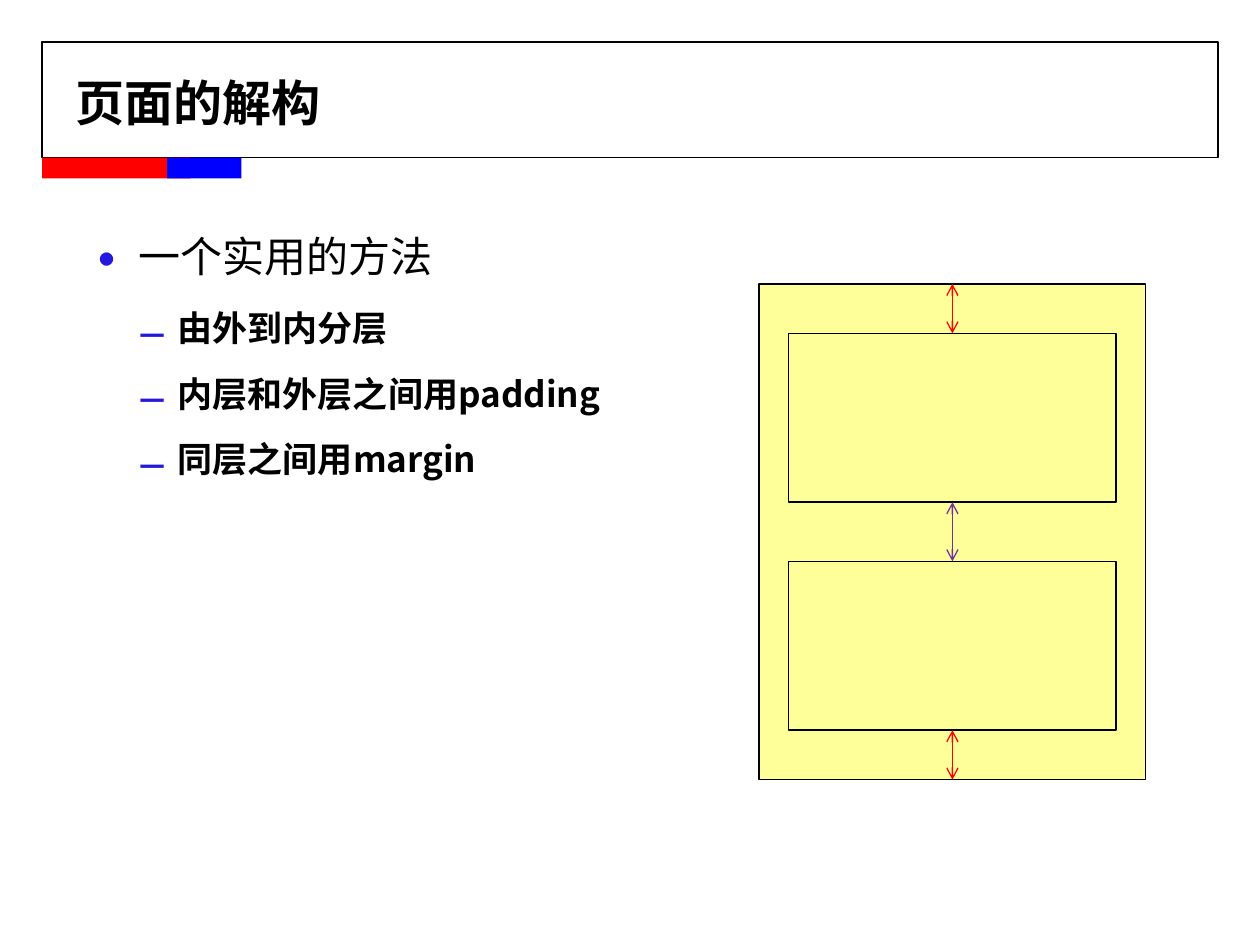
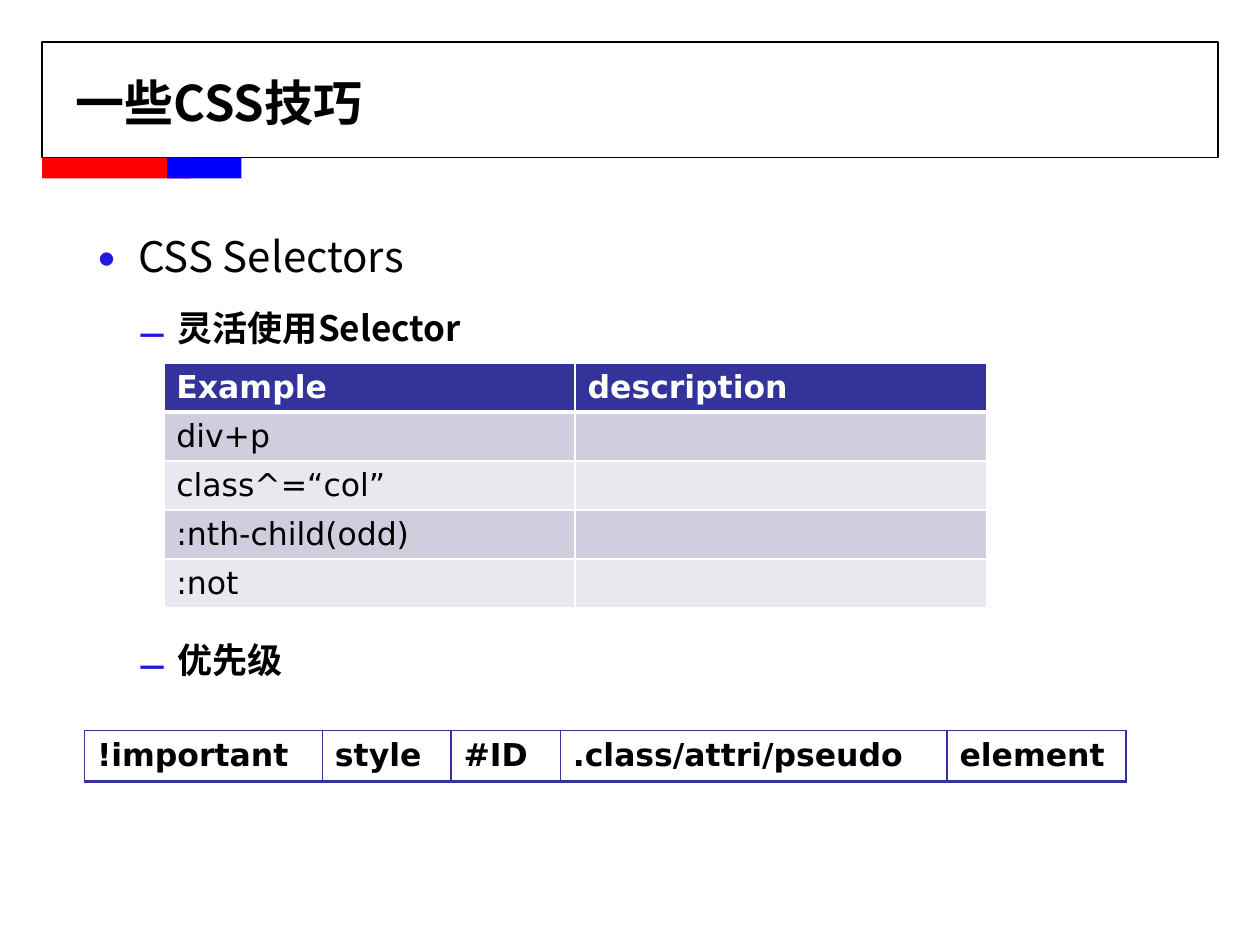
"""Build two slides on page structure and CSS selectors."""
from lxml import etree
from pptx import Presentation
from pptx.dml.color import RGBColor
from pptx.enum import shapes, text
from pptx.oxml import ns
from pptx.util import Pt

BLACK = RGBColor(0, 0, 0)
WHITE = RGBColor(255, 255, 255)
RED = RGBColor(255, 0, 0)
BLUE = RGBColor(0, 0, 255)
YELLOW = RGBColor(255, 255, 153)
PURPLE = RGBColor(112, 48, 160)
NAVY = RGBColor(51, 51, 153)
BULLET = RGBColor(35, 24, 222)
BANDS = RGBColor(206, 206, 222), RGBColor(232, 232, 239)
HEAD_FONT, CELL_FONT = "Noto Sans CJK SC", "DejaVu Sans"

LAYERS = {
    "title": "页面的解构",
    "points": [(0, "一个实用的方法", 0), (1, "由外到内分层", 0),
               (1, "内层和外层之间用padding", 0), (1, "同层之间用margin", 0)],
}
TRICKS = {
    "title": "一些CSS技巧",
    "points": [(0, "CSS Selectors", 0), (1, "灵活使用Selector", 0),
               (1, "优先级", 152.3)],
}
EXAMPLES = [("Example", "description"), ("div+p", ""), ("class^=“col”", ""),
            (":nth-child(odd)", ""), (":not", "")]
RANKS = [("!important", "style", "#ID", ".class/attri/pseudo", "element")]
RANK_COLS = 136, 73.5, 62.5, 221, 102.25
LEVELS = [dict(mark="•", size=24, bold=False, left=27, hang=-27, space=6.2),
          dict(mark="–", size=20, bold=True, left=58.5, hang=-22.5, space=4.85)]


def add(parent, tag, **attrs):
    """Append a drawing element with the given attributes."""
    node = etree.SubElement(parent, ns.qn("a:" + tag))
    for key, val in attrs.items():
        node.set(key, str(val))
    return node


def style(para, size, name, color, bold):
    """Set the font of a paragraph."""
    font = para.font
    font.size, font.bold, font.name = Pt(size), bold, name
    font.color.rgb = color
    add(font._element, "ea", typeface=name)


def box(slide, left, top, width, height, fill=None, line=None):
    """Draw a rectangle."""
    rect = slide.shapes.add_shape(shapes.MSO_SHAPE.RECTANGLE, Pt(left),
                                  Pt(top), Pt(width), Pt(height))
    rect.shadow.inherit = False
    if fill is None:
        rect.fill.background()
    else:
        rect.fill.solid()
        rect.fill.fore_color.rgb = fill
    if line is None:
        rect.line.fill.background()
    else:
        rect.line.color.rgb, rect.line.width = line, Pt(0.75)
    return rect


def arrow(slide, start, end, color):
    """Join two (box, side) pairs with a double arrow."""
    link = slide.shapes.add_connector(shapes.MSO_CONNECTOR.STRAIGHT, 0, 0, 0, 0)
    link.begin_connect(*start)
    link.end_connect(*end)
    link.line.color.rgb, link.line.width = color, Pt(0.75)
    line = link.line._get_or_add_ln()
    add(line, "headEnd", type="arrow")
    add(line, "tailEnd", type="arrow")
    add(link._element.spPr, "effectLst")


def bullets(slide, points):
    """Write the bulleted body text."""
    frame = slide.shapes.add_textbox(Pt(36), Pt(124), Pt(648), Pt(356)).text_frame
    frame.word_wrap = True
    for i, (level, words, extra) in enumerate(points):
        look = LEVELS[level]
        para = frame.add_paragraph() if i else frame.paragraphs[0]
        para.text, para.level, para.line_spacing = words, level, 1.15
        para.space_before = Pt(look["space"] + extra)
        para.space_after = Pt(look["space"])
        props = para._p.get_or_add_pPr()
        props.set("marL", str(Pt(look["left"])))
        props.set("indent", str(Pt(look["hang"])))
        add(add(props, "buClr"), "srgbClr", val=BULLET)
        add(props, "buSzPct", val=150000)
        add(props, "buFont", typeface=HEAD_FONT)
        add(props, "buChar", char=look["mark"])
        style(para, look["size"], HEAD_FONT, BLACK, look["bold"])


def start(deck, page):
    """Add a slide with frame, bands, title and bullets."""
    slide = deck.slides.add_slide(deck.slide_layouts[5])
    box(slide, 24, 24, 672, 66, line=BLACK)
    box(slide, 24, 90, 85, 12, fill=RED)
    box(slide, 95.5, 90, 42.5, 12, fill=BLUE)
    title = slide.shapes.title
    title.left, title.top, title.width, title.height = map(Pt, (36, 27.5, 648, 61))
    frame = title.text_frame
    frame.text, frame.vertical_anchor = page["title"], text.MSO_ANCHOR.MIDDLE
    para = frame.paragraphs[0]
    para.alignment = text.PP_ALIGN.LEFT
    style(para, 28, HEAD_FONT, BLACK, True)
    bullets(slide, page["points"])
    return slide


def grid(slide, rows, left, top, cols, height, look):
    """Add a table; look gives fill, ink, bold, edge and base width per row."""
    table = slide.shapes.add_table(len(rows), len(cols), Pt(left), Pt(top),
                                   Pt(sum(cols)), Pt(height * len(rows))).table
    table.first_row = table.horz_banding = False
    for col, width in zip(table.columns, cols):
        col.width = Pt(width)
    for r, row in enumerate(rows):
        table.rows[r].height = Pt(height)
        fill, ink, bold, edge, base = look(r)
        above = look(r - 1)[4] if r else 1
        for c, words in enumerate(row):
            cell = table.cell(r, c)
            cell.text = words
            cell.margin_top = cell.margin_bottom = 0
            cell.vertical_anchor = text.MSO_ANCHOR.MIDDLE
            style(cell.text_frame.paragraphs[0], 18, CELL_FONT, ink, bold)
            props = cell._tc.get_or_add_tcPr()
            for side, width in zip("LRTB", (1, 1, above, base)):
                line = add(props, "ln" + side, w=Pt(width))
                add(add(line, "solidFill"), "srgbClr", val=edge)
            if fill is None:
                cell.fill.background()
            else:
                cell.fill.solid()
                cell.fill.fore_color.rgb = fill


def banded(row):
    """Give the look of a row in the example table."""
    if row == 0:
        return NAVY, WHITE, True, WHITE, 3
    return BANDS[(row - 1) % 2], BLACK, False, WHITE, 1


def plain(row):
    """Give the look of the rank row."""
    return None, BLACK, True, NAVY, 2


def layers(slide):
    """Draw an outer box holding two inner ones, with the gaps marked."""
    left, top, width, side, pad, gap, high = 433.75, 162.25, 221, 17, 28.25, 33.75, 96.5
    outer = box(slide, left, top, width, 2 * (pad + high) + gap, YELLOW, BLACK)
    upper, lower = [box(slide, left + side, top + pad + i * (high + gap),
                        width - 2 * side, high, YELLOW, BLACK) for i in range(2)]
    arrow(slide, (outer, 0), (upper, 0), RED)
    arrow(slide, (outer, 2), (lower, 2), RED)
    arrow(slide, (upper, 2), (lower, 0), PURPLE)


def main():
    """Build and save the deck."""
    deck = Presentation()
    deck.slide_width, deck.slide_height = Pt(720), Pt(540)
    layers(start(deck, LAYERS))
    slide = start(deck, TRICKS)
    grid(slide, EXAMPLES, 93.6, 207.5, (235, 235), 28, banded)
    grid(slide, RANKS, 48.25, 417.5, RANK_COLS, 29, plain)
    deck.save("out.pptx")


if __name__ == "__main__":
    main()
